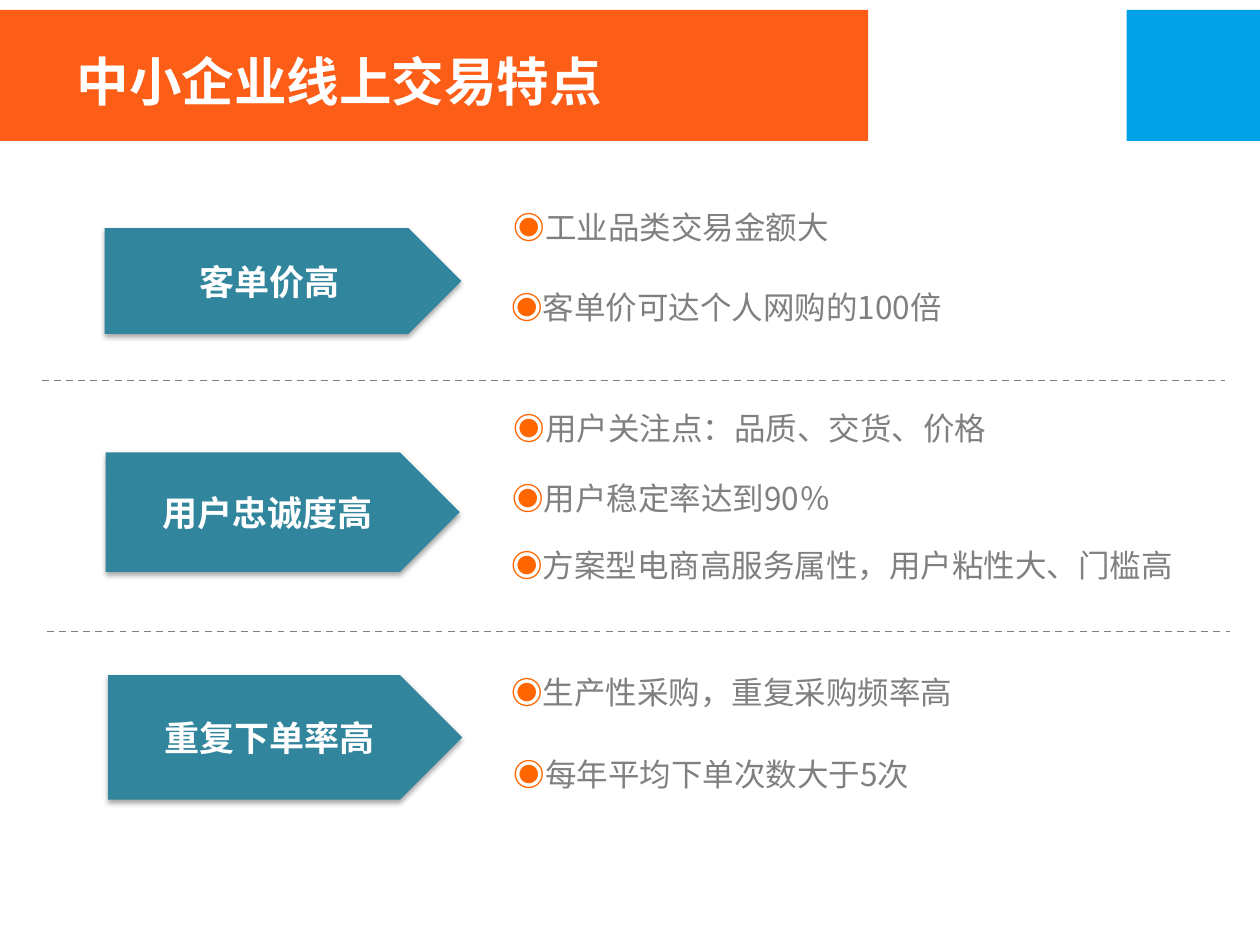
from lxml import etree
from pptx import Presentation
from pptx.dml.color import RGBColor
from pptx.enum.dml import MSO_LINE
from pptx.enum.shapes import MSO_CONNECTOR, MSO_SHAPE
from pptx.enum.text import MSO_ANCHOR, MSO_AUTO_SIZE, PP_ALIGN
from pptx.oxml import parse_xml
from pptx.oxml.ns import nsdecls, qn
from pptx.util import Cm, Pt

FONT = "Noto Sans CJK SC"
WHITE = RGBColor(0xFF, 0xFF, 0xFF)
GRAY = RGBColor(0x80, 0x80, 0x80)
ORANGE = RGBColor(0xFC, 0x5E, 0x17)
BULLET_ORANGE = RGBColor(0xFF, 0x66, 0x00)
BLUE = RGBColor(0x03, 0xA1, 0xE8)
TEAL = RGBColor(0x31, 0x85, 0x9C)

TITLE = "中小企业线上交易特点"
# Boxes are left, top, width, height in centimetres.
BANDS = [((22.71, 0.2, 2.69, 2.64), BLUE), ((0, 0.2, 17.5, 2.64), ORANGE)]
# Each section: label, arrow box, points as (text, left, top, width, line spacing).
SECTIONS = [
    ("客单价高", (2.11, 4.6, 7.19, 2.13), [
        ("工业品类交易金额大", 10.11, 4.06, 14.02, None),
        ("客单价可达个人网购的100倍", 10.06, 5.69, 10.82, None),
    ]),
    ("用户忠诚度高", (2.13, 9.12, 7.14, 2.41), [
        ("用户关注点：品质、交货、价格", 10.11, 8.13, 14, None),
        ("用户稳定率达到90％", 10.08, 9.53, 14, None),
        ("方案型电商高服务属性，用户粘性大、门槛高", 10.06, 10.74, 15.19, 1.2),
    ]),
    ("重复下单率高", (2.18, 13.61, 7.14, 2.51), [
        ("生产性采购，重复采购频率高", 10.06, 13.44, 10.82, None),
        ("每年平均下单次数大于5次", 10.11, 15.09, 9.6, None),
    ]),
]
DIVIDERS = [(0.84, 7.67), (0.94, 12.73)]  # left, top
DIVIDER_WIDTH = 23.85
POINT_HEIGHT = 1.02

SHADOW = (
    f'<a:effectLst {nsdecls("a")}><a:outerShdw blurRad="39370" dist="22860" dir="5400000"'
    ' rotWithShape="0"><a:srgbClr val="000000"><a:alpha val="35000"/></a:srgbClr>'
    '</a:outerShdw></a:effectLst>'
)


def lengths(box):
    return [Cm(value) for value in box]


def add_run(paragraph, text, size, color, bold=False):
    run = paragraph.add_run()
    run.text = text
    font = run.font
    font.name, font.size, font.bold = FONT, Pt(size), bold
    font.color.rgb = color
    etree.SubElement(run._r.get_or_add_rPr(), qn("a:ea")).set("typeface", FONT)


def add_filled(slide, kind, box, color):
    shape = slide.shapes.add_shape(kind, *lengths(box))
    shape.shadow.inherit = False
    shape.fill.solid()
    shape.fill.fore_color.rgb = color
    shape.line.fill.background()
    return shape


def add_text(slide, runs, box, line_spacing=None):
    """Add a text box whose runs are (text, size, color, bold)."""
    frame = slide.shapes.add_textbox(*lengths(box)).text_frame
    frame.word_wrap = True
    frame.auto_size = MSO_AUTO_SIZE.SHAPE_TO_FIT_TEXT
    paragraph = frame.paragraphs[0]
    if line_spacing:
        paragraph.line_spacing = line_spacing
    for run in runs:
        add_run(paragraph, *run)


def add_label_arrow(slide, label, box):
    arrow = add_filled(slide, MSO_SHAPE.PENTAGON, box, TEAL)
    properties = arrow._element.spPr
    properties.replace(properties.find(qn("a:effectLst")), parse_xml(SHADOW))
    frame = arrow.text_frame
    frame.vertical_anchor = MSO_ANCHOR.MIDDLE
    paragraph = frame.paragraphs[0]
    paragraph.alignment = PP_ALIGN.CENTER
    add_run(paragraph, label, 20, WHITE, bold=True)


def add_divider(slide, left, top):
    line = slide.shapes.add_connector(
        MSO_CONNECTOR.STRAIGHT, *lengths((left, top, left + DIVIDER_WIDTH, top)))
    line.line.color.rgb = GRAY
    line.line.width = Pt(1)
    line.line.dash_style = MSO_LINE.DASH
    etree.SubElement(line._element.spPr, qn("a:effectLst"))


def main():
    presentation = Presentation()
    presentation.slide_width, presentation.slide_height = Cm(25.4), Cm(19.05)
    slide = presentation.slides.add_slide(presentation.slide_layouts[6])

    for box, color in BANDS:
        add_filled(slide, MSO_SHAPE.RECTANGLE, box, color)
    add_text(slide, [(TITLE, 30, WHITE, True)], (1.3, 0.86, 12.4, 1.55))

    for label, arrow_box, points in SECTIONS:
        add_label_arrow(slide, label, arrow_box)
        for text, left, top, width, spacing in points:
            runs = [("◉", 18, BULLET_ORANGE, True), (text, 18, GRAY)]
            add_text(slide, runs, (left, top, width, POINT_HEIGHT), spacing)

    for left, top in DIVIDERS:
        add_divider(slide, left, top)

    presentation.save("out.pptx")


if __name__ == "__main__":
    main()
